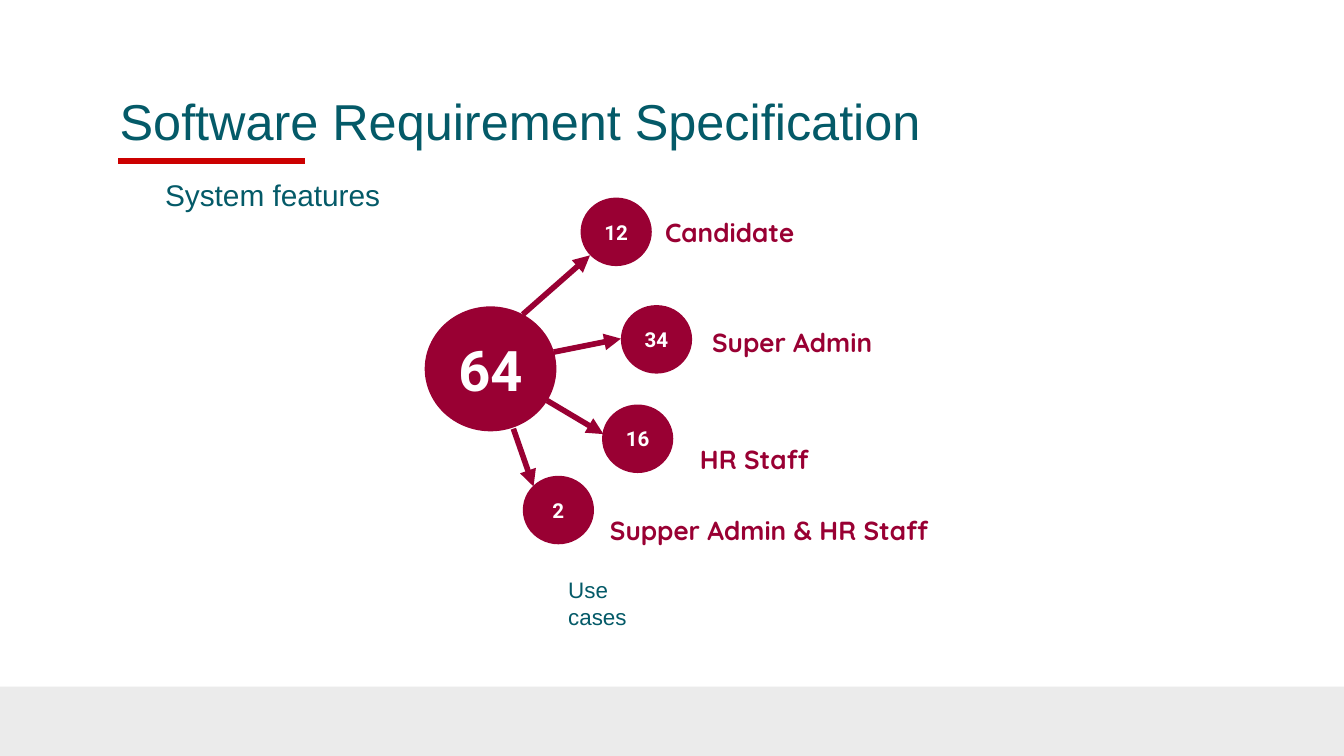
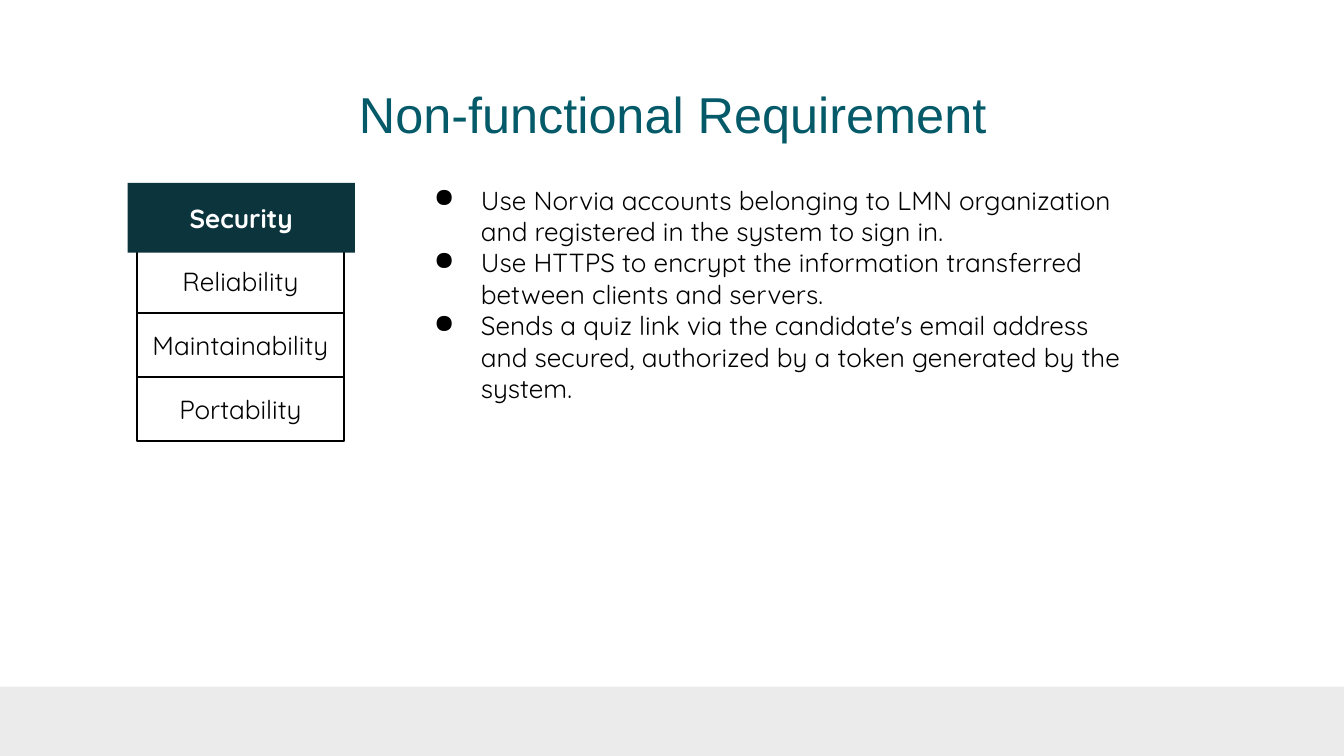
"""Builds two slides on system features and non-functional requirements."""
from lxml import etree
from pptx import Presentation
from pptx.dml.color import RGBColor
from pptx.enum.shapes import MSO_CONNECTOR, MSO_SHAPE
from pptx.enum.text import MSO_ANCHOR, MSO_AUTO_SIZE, PP_ALIGN
from pptx.oxml.ns import qn
from pptx.util import Inches, Pt

LEFT, CENTER = PP_ALIGN.LEFT, PP_ALIGN.CENTER
TOP, MIDDLE = MSO_ANCHOR.TOP, MSO_ANCHOR.MIDDLE
NO_AUTOFIT = MSO_AUTO_SIZE.NONE
ELLIPSE, RECTANGLE = MSO_SHAPE.OVAL, MSO_SHAPE.RECTANGLE
STRAIGHT = MSO_CONNECTOR.STRAIGHT
COLUMNS, ROWS = 100, 56.25
TITLE_ONLY = 5


def color(value):
    """Turn a hex string into a colour."""
    return RGBColor.from_string(value)


class Deck:
    """Holds the style and the current slide, measured in grid columns and rows."""

    teal, crimson, red = "045A68", "990033", "CC0000"
    navy, gray, white, black = "0C343D", "EBEBEB", "FFFFFF", "000000"
    heading_font, label_font, number_font = "Arial", "Quicksand", "Roboto"

    def __init__(self):
        """Start a presentation on a square grid."""
        self.presentation = Presentation()
        self.presentation.slide_width = Inches(10)
        self.presentation.slide_height = Inches(5.625)
        self.slide = None

    def x(self, columns):
        """Convert columns to a length."""
        return round(self.presentation.slide_width * columns / COLUMNS)

    def y(self, rows):
        """Convert rows to a length."""
        return round(self.presentation.slide_height * rows / ROWS)

    def box(self, left, top, width, height):
        """Convert a grid box to lengths."""
        return self.x(left), self.y(top), self.x(width), self.y(height)

    def new_slide(self, title, top, height, alignment=LEFT):
        """Add a slide with the footer band and a title."""
        layout = self.presentation.slide_layouts[TITLE_ONLY]
        self.slide = self.presentation.slides.add_slide(layout)
        self.shape(RECTANGLE, (0, 51.1, COLUMNS, ROWS - 51.1), self.gray)
        placeholder = self.slide.shapes.title
        (placeholder.left, placeholder.top,
         placeholder.width, placeholder.height) = self.box(7.9, top, 84.3, height)
        self.fill_text(placeholder, [title], self.heading_font, 27, self.teal,
                       alignment=alignment, inset=0.1)

    def fill_text(self, shape, lines, font, size, ink, bold=False,
                  alignment=LEFT, anchor=MIDDLE, inset=0.05, bullet=None):
        """Fill a shape with paragraphs of one style."""
        frame = shape.text_frame
        frame.word_wrap = True
        frame.auto_size = NO_AUTOFIT
        frame.vertical_anchor = anchor
        frame.margin_left = frame.margin_right = Inches(0.1)
        frame.margin_top = frame.margin_bottom = Inches(inset)
        for index, line in enumerate(lines):
            paragraph = frame.add_paragraph() if index else frame.paragraphs[0]
            paragraph.alignment = alignment
            if bullet:
                self.add_bullet(paragraph, bullet)
            run = paragraph.add_run()
            run.text = line
            run.font.name, run.font.size, run.font.bold = font, Pt(size), bold
            run.font.color.rgb = color(ink)

    def add_bullet(self, paragraph, character):
        """Give a paragraph a hanging bullet."""
        properties = paragraph._p.get_or_add_pPr()
        properties.set("marL", str(Inches(0.5)))
        properties.set("indent", str(-Inches(0.35)))
        bullet_color = etree.SubElement(properties, qn("a:buClr"))
        etree.SubElement(bullet_color, qn("a:srgbClr"), val=self.black)
        etree.SubElement(properties, qn("a:buChar"), char=character)

    def text(self, box, lines, font, size, ink, **style):
        """Add a text box."""
        shape = self.slide.shapes.add_textbox(*self.box(*box))
        self.fill_text(shape, lines, font, size, ink, **style)

    def shape(self, kind, box, fill, outline=None):
        """Add a filled preset shape."""
        shape = self.slide.shapes.add_shape(kind, *self.box(*box))
        shape.shadow.inherit = False
        shape.fill.solid()
        shape.fill.fore_color.rgb = color(fill)
        if outline:
            shape.line.color.rgb = color(outline)
            shape.line.width = Pt(1)
        else:
            shape.line.fill.background()
        return shape

    def circle(self, box, number, size):
        """Add a numbered circle."""
        shape = self.shape(ELLIPSE, box, self.crimson)
        self.fill_text(shape, [number], self.number_font, size, self.white,
                       bold=True, alignment=CENTER)

    def cell(self, box, label, fill, ink, outline=None, bold=False):
        """Add a labelled rectangle."""
        shape = self.shape(RECTANGLE, box, fill, outline)
        self.fill_text(shape, [label], self.label_font, 14, ink, bold, CENTER)

    def line(self, start, end, ink, arrow=False):
        """Add a straight line, with an arrowhead if asked."""
        connector = self.slide.shapes.add_connector(
            STRAIGHT, self.x(start[0]), self.y(start[1]),
            self.x(end[0]), self.y(end[1]))
        connector.line.color.rgb = color(ink)
        connector.line.width = Pt(3)
        properties = connector._element.spPr
        if arrow:
            etree.SubElement(properties.find(qn("a:ln")), qn("a:tailEnd"),
                             type="triangle")
        etree.SubElement(properties, qn("a:effectLst"))


def add_features_slide(deck):
    """Show the use cases split by user role."""
    deck.new_slide("Software Requirement Specification", 5.9, 6.1)
    deck.line((8.8, 12), (22.7, 12), deck.red)
    deck.text((11.3, 12, 32.2, 5), ["System features"],
              deck.heading_font, 16, deck.teal, anchor=MIDDLE, inset=0.1)
    deck.text((41.3, 43.1, 9, 3.6), ["Use cases"],
              deck.heading_font, 12, deck.teal, anchor=MIDDLE, inset=0.1)
    deck.circle((31.6, 22.8, 9.8, 9.3), "64", 30)
    roles = [
        ("12", (43.2, 14.7), (38.9, 23.4), (43.9, 19),
         "Candidate", (48.5, 15.6, 24.3, 3.1)),
        ("34", (46.2, 22.7), (41.2, 26.2), (46.2, 25.2),
         "Super Admin", (52, 23.8, 16.4, 3.1)),
        ("16", (44.8, 30.1), (40.7, 29.8), (44.9, 32.3),
         "HR Staff", (51.1, 32.5, 17.6, 3.6)),
        ("2", (38.9, 35.4), (38.2, 31.9), (39.7, 36.2),
         "Supper Admin & HR Staff", (44.4, 37.8, 26.3, 3.6)),
    ]
    for number, corner, start, end, role, label_box in roles:
        deck.line(start, end, deck.crimson, arrow=True)
        deck.circle((*corner, 5.3, 5.1), number, 11)
        deck.text(label_box, [role], deck.label_font, 14, deck.crimson,
                  bold=True, anchor=TOP)


def add_requirements_slide(deck):
    """Show the requirement tabs and the security points."""
    deck.new_slide("Non-functional Requirement", 5.2, 6.4, CENTER)
    for index, label in enumerate(["Reliability", "Maintainability", "Portability"]):
        deck.cell((10.2, 18.55 + 4.76 * index, 15.4, 4.76), label,
                  deck.white, deck.black, outline=deck.black)
    deck.cell((9.5, 13.6, 16.9, 5.2), "Security", deck.navy, deck.white, bold=True)
    points = [
        "Use Norvia accounts belonging to LMN organization and registered "
        "in the system to sign in.",
        "Use HTTPS to encrypt the information transferred between clients "
        "and servers.",
        "Sends a quiz link via the candidate's email address and secured, "
        "authorized by a token generated by the system.",
    ]
    deck.text((29.8, 12.7, 56.2, 36), points, deck.label_font, 14, deck.black,
              anchor=TOP, inset=0.1, bullet="●")


def main():
    """Build and save the presentation."""
    deck = Deck()
    add_features_slide(deck)
    add_requirements_slide(deck)
    deck.presentation.save("out.pptx")


if __name__ == "__main__":
    main()
